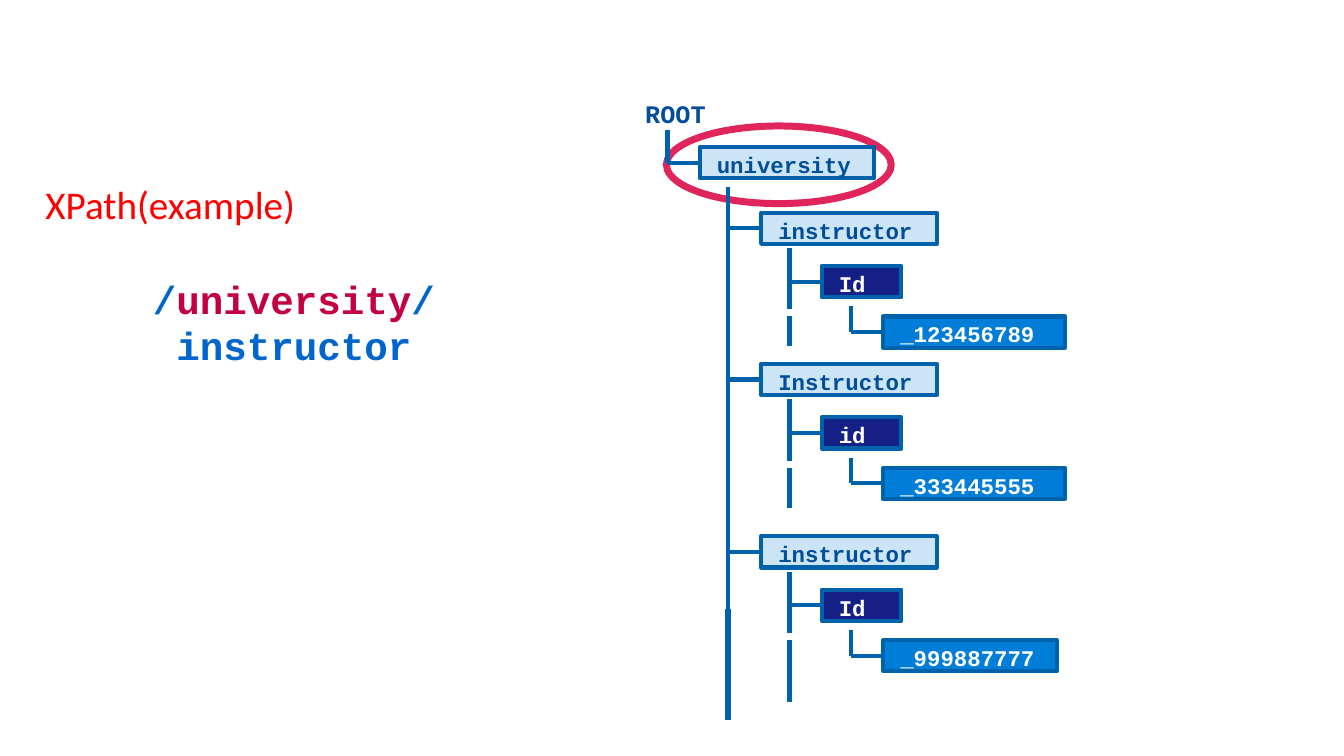
"""Build a slide showing an XPath example beside its document tree."""
from lxml.etree import SubElement
from pptx import Presentation
from pptx.dml.color import RGBColor
from pptx.enum.shapes import MSO_CONNECTOR, MSO_SHAPE
from pptx.enum.text import MSO_ANCHOR, PP_ALIGN
from pptx.oxml.ns import qn
from pptx.util import Emu, Pt

PX = 9144
THEME = {
    "title": "FF0000", "path": "0066CC", "match": "C20042", "ring": "E0245C",
    "line": "0062AA", "label": "004D99", "light": "007DD6", "id": "142086",
    "value": "007DD6", "white": "FFFFFF", "sans": "Calibri", "mono": "Courier New",
    "title_pt": 28, "root_pt": 18, "node_pt": 16, "line_pt": 3, "trunk_pt": 4, "ring_pt": 5,
}
NODE_H = 31
MID = NODE_H / 2
TRUNK_X, BRANCH_X, TWIG_X = 722, 783, 844

prs = Presentation()
prs.slide_width, prs.slide_height = Emu(1333 * PX), Emu(750 * PX)
s = prs.slides.add_slide(prs.slide_layouts[6])


def write(sp, runs, size, font, bold=True, left=0, top=0, anchor=MSO_ANCHOR.TOP):
    tf = sp.text_frame
    tf.word_wrap = True
    tf.vertical_anchor = anchor
    tf.margin_left, tf.margin_top = Emu(left * PX), Emu(top * PX)
    tf.margin_right = tf.margin_bottom = 0
    p = tf.paragraphs[0]
    p.alignment = PP_ALIGN.LEFT
    for text, color in runs:
        r = p.add_run()
        r.text = text
        r.font.size, r.font.name, r.font.bold = Pt(size), font, bold
        r.font.color.rgb = RGBColor.from_string(THEME[color])
    return p


def line(x1, y1, x2, y2, width=THEME["line_pt"], node=None):
    ends = [Emu(int(v * PX)) for v in (x1, y1, x2, y2)]
    con = s.shapes.add_connector(MSO_CONNECTOR.STRAIGHT, *ends)
    con.line.color.rgb = RGBColor.from_string(THEME["line"])
    con.line.width = Pt(width)
    SubElement(con._element.spPr, qn("a:effectLst"))
    if node is not None:
        con.end_connect(node, 1)


title = s.shapes.add_textbox(*[Emu(v * PX) for v in (44, 182, 395, 44)])
p = write(title, [("XPath", "title"), ("(example)", "title")], THEME["title_pt"],
          THEME["sans"], bold=False, left=1, top=1, anchor=MSO_ANCHOR.BOTTOM)
p.line_spacing = 0.9

xpath = s.shapes.add_textbox(*[Emu(v * PX) for v in (150, 270, 283, 96)])
p = write(xpath, [("/", "path"), ("university", "match"), ("/ ", "path"), ("instructor", "path")],
          THEME["title_pt"], THEME["mono"], top=4)
p.alignment = PP_ALIGN.CENTER
p.line_spacing = Pt(33)

ring = s.shapes.add_shape(MSO_SHAPE.OVAL, *[Emu(v * PX) for v in (661, 125, 223, 77)])
ring.shadow.inherit = False
ring.fill.background()
ring.line.color.rgb = RGBColor.from_string(THEME["ring"])
ring.line.width = Pt(THEME["ring_pt"])

root = s.shapes.add_textbox(*[Emu(v * PX) for v in (639, 96, 70, 33)])
write(root, [("ROOT", "label")], THEME["root_pt"], THEME["mono"], left=1, top=2)

nodes = [("university", 694, 146, 173, "light", 662)]
branches = [
    (211, "instructor", "Id", "_123456789", 180, 132),
    (361, "Instructor", "id", "_333445555", 180, 143),
    (532, "instructor", "Id", "_999887777", 172, 164),
]
for y, person, key, value, value_w, tail in branches:
    nodes += [
        (person, 755, y, 174, "light", TRUNK_X),
        (key, 815, y + 53, 79, "id", BRANCH_X),
        (value, 876, y + 103, value_w, "value", TWIG_X),
    ]

for text, x, y, w, fill, stem_x in nodes:
    sp = s.shapes.add_shape(MSO_SHAPE.RECTANGLE, *[Emu(v * PX) for v in (x, y, w, NODE_H)])
    sp.shadow.inherit = False
    sp.fill.solid()
    sp.fill.fore_color.rgb = RGBColor.from_string(THEME[fill])
    if fill == "light":
        color = sp._element.spPr.find(qn("a:solidFill")).find(qn("a:srgbClr"))
        SubElement(color, qn("a:alpha"), val="20000")
    sp.line.color.rgb = RGBColor.from_string(THEME["line"])
    sp.line.width = Pt(THEME["line_pt"])
    write(sp, [(text, "label" if fill == "light" else "white")],
          THEME["node_pt"], THEME["mono"], left=17, top=4)
    line(stem_x, y + MID, x, y + MID, node=sp)

line(662, 129, 662, 146 + MID)
line(TRUNK_X, 186, TRUNK_X, 611)
line(TRUNK_X, 604, TRUNK_X, 714, THEME["trunk_pt"])
for y, person, key, value, value_w, tail in branches:
    line(BRANCH_X, y + 35, BRANCH_X, y + 96)
    line(BRANCH_X, y + 103, BRANCH_X, y + tail)
    line(TWIG_X, y + 93, TWIG_X, y + 103 + MID)

prs.save("out.pptx")
